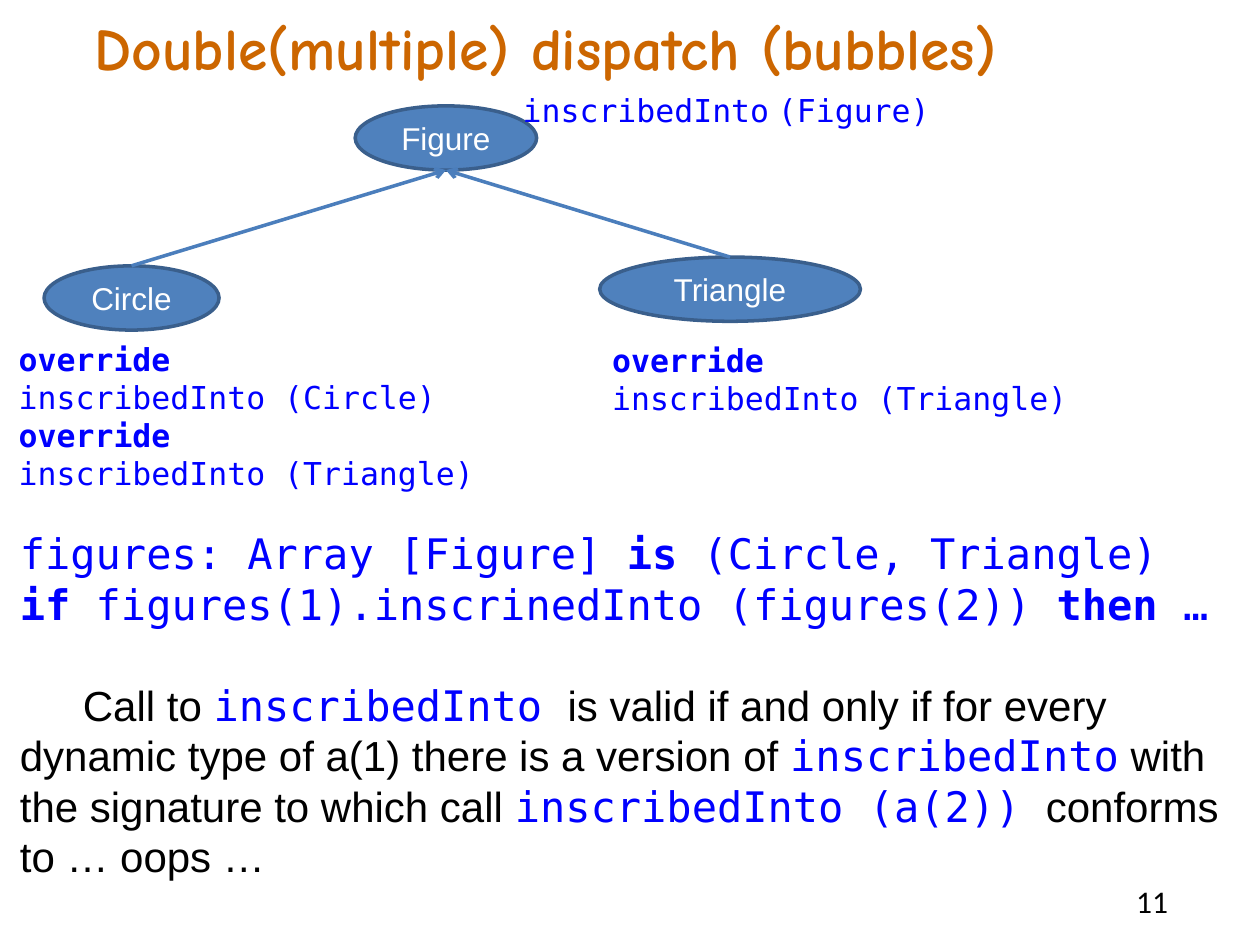
from lxml.etree import SubElement
from pptx import Presentation
from pptx.dml.color import RGBColor
from pptx.enum.shapes import MSO_CONNECTOR, MSO_SHAPE
from pptx.enum.text import MSO_ANCHOR, MSO_AUTO_SIZE, PP_ALIGN
from pptx.oxml.ns import qn
from pptx.util import Pt

CODE_FONT = "DejaVu Sans Mono"
BLUE = "0000FF"
BLACK = "000000"
WHITE = "FFFFFF"


def color(value):
    return RGBColor.from_string(value)


def add_text(paragraph, text, font=CODE_FONT, size=18, fill=BLUE, bold=False):
    run = paragraph.add_run()
    run.text = text
    run.font.name = font
    run.font.size = Pt(size)
    run.font.bold = bold
    run.font.color.rgb = color(fill)


def add_text_box(slide, left, top, width, height, wrap=True):
    shape = slide.shapes.add_textbox(Pt(left), Pt(top), Pt(width), Pt(height))
    shape.text_frame.word_wrap = wrap
    shape.text_frame.auto_size = MSO_AUTO_SIZE.NONE
    return shape.text_frame


def add_title(slide, text):
    title = slide.shapes.title
    title.left, title.top, title.width, title.height = Pt(54), Pt(0.7), Pt(648), Pt(52)
    frame = title.text_frame
    frame.margin_left = frame.margin_right = 0
    frame.vertical_anchor = MSO_ANCHOR.MIDDLE
    frame.auto_size = MSO_AUTO_SIZE.NONE
    frame.paragraphs[0].alignment = PP_ALIGN.LEFT
    add_text(frame.paragraphs[0], text, font="Comic Neue", size=34, fill="CC6600", bold=True)


def add_bubble(slide, text, left, top, width):
    shape = slide.shapes.add_shape(MSO_SHAPE.OVAL, Pt(left), Pt(top), Pt(width), Pt(36.7))
    shape.shadow.inherit = False
    shape.fill.solid()
    shape.fill.fore_color.rgb = color("4F81BD")
    shape.line.color.rgb = color("3A5F8C")
    shape.line.width = Pt(2)
    frame = shape.text_frame
    frame.vertical_anchor = MSO_ANCHOR.MIDDLE
    frame.paragraphs[0].alignment = PP_ALIGN.CENTER
    add_text(frame.paragraphs[0], text, font="Arial", fill=WHITE)
    return shape


def add_inheritance_arrow(slide, child, parent):
    connector = slide.shapes.add_connector(
        MSO_CONNECTOR.STRAIGHT,
        child.left + child.width // 2, child.top,
        parent.left + parent.width // 2, parent.top + parent.height,
    )
    connector.begin_connect(child, 0)
    connector.line.color.rgb = color("4B7EBC")
    connector.line.width = Pt(2)
    SubElement(connector.line._get_or_add_ln(), qn("a:tailEnd"), type="arrow")
    SubElement(connector._element.spPr, qn("a:effectLst"))


def add_overrides(slide, left, top, width, height, signatures):
    frame = add_text_box(slide, left, top, width, height)
    paragraph = frame.paragraphs[0]
    for index, signature in enumerate(signatures):
        if index:
            paragraph = frame.add_paragraph()
        add_text(paragraph, "override", bold=True)
        add_text(frame.add_paragraph(), signature)


def add_root_signature(slide):
    paragraph = add_text_box(slide, 291.6, 48.2, 278.6, 29).paragraphs[0]
    add_text(paragraph, "inscribedInto")
    add_text(paragraph, " ", font="Arial")
    add_text(paragraph, "(Figure)")


def add_explanation(slide):
    frame = add_text_box(slide, 4.3, 298, 712.8, 211)
    declaration = frame.paragraphs[0]
    condition = frame.add_paragraph()
    for paragraph, text, bold in (
        (declaration, "figures: Array [Figure] ", False),
        (declaration, "is", True),
        (declaration, " (Circle, Triangle)", False),
        (condition, "if", True),
        (condition, " figures(1).inscrinedInto (figures(2)) ", False),
        (condition, "then ", True),
        (condition, "…", False),
    ):
        add_text(paragraph, text, size=24, bold=bold)
    rule = frame.add_paragraph()
    rule.space_before = Pt(29)
    for prose, code in (
        ("\tCall to ", "inscribedInto "),
        ("is valid if and only if for every dynamic type of a(1) there is a version of ",
         "inscribedInto"),
        (" with the signature to which call ", "inscribedInto (a(2)) "),
    ):
        add_text(rule, prose, font="Arial", size=24, fill=BLACK)
        add_text(rule, code, size=24)
    add_text(rule, "conforms to … oops …", font="Arial", size=24, fill=BLACK)


def main():
    presentation = Presentation()
    presentation.slide_width, presentation.slide_height = Pt(720), Pt(540)
    slide = presentation.slides.add_slide(presentation.slide_layouts[5])
    add_title(slide, "Double(multiple) dispatch (bubbles)")

    figure = add_bubble(slide, "Figure", 203, 60.5, 103.7)
    triangle = add_bubble(slide, "Triangle", 342.7, 146.9, 149)
    circle = add_bubble(slide, "Circle", 25.2, 151.9, 100)
    for child in (triangle, circle):
        add_inheritance_arrow(slide, child, figure)

    add_root_signature(slide)
    add_overrides(slide, 3.6, 190.8, 287.3, 94.3,
                  ["inscribedInto (Circle)", "inscribedInto (Triangle)"])
    add_overrides(slide, 342.7, 191.5, 329, 51, ["inscribedInto (Triangle)"])
    add_explanation(slide)

    page_number = add_text_box(slide, 642.2, 500.4, 41.8, 28.8)
    add_text(page_number.paragraphs[0], "11", font="Calibri", fill=BLACK)
    presentation.save("out.pptx")


if __name__ == "__main__":
    main()
